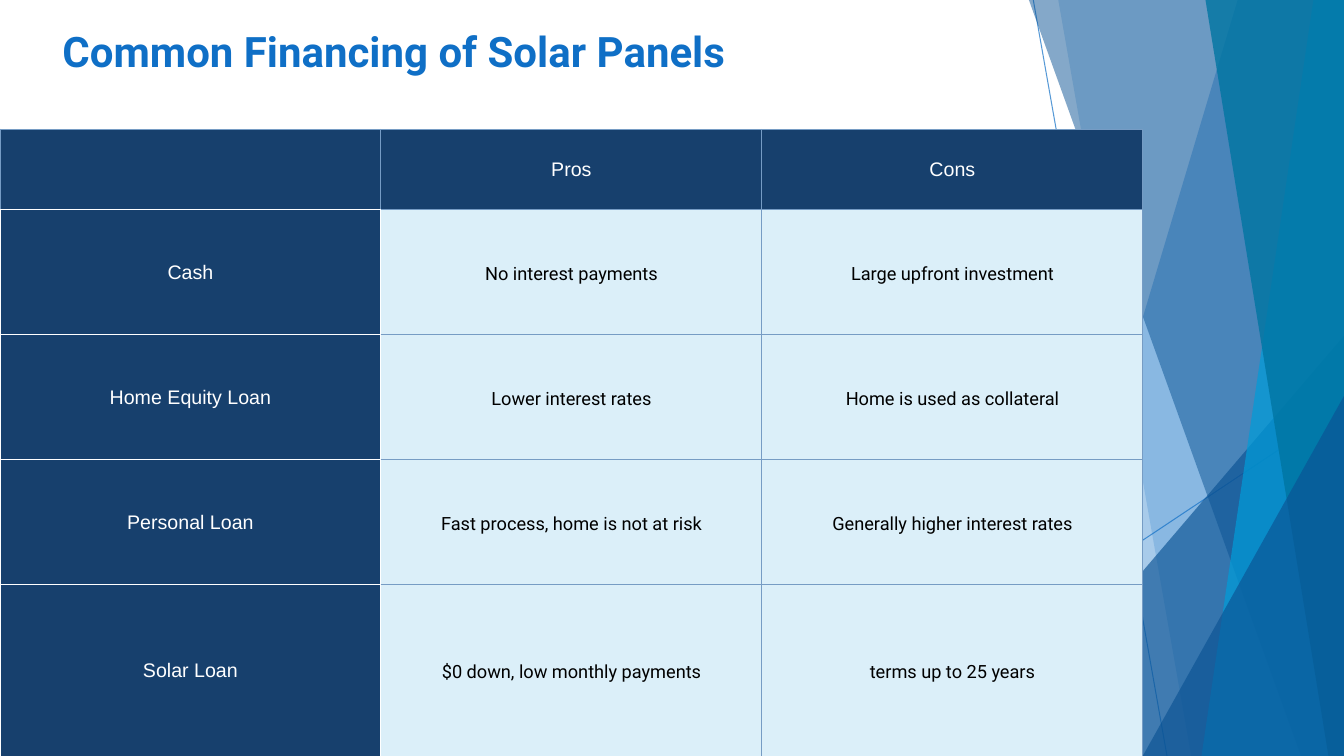
from lxml import etree
from pptx import Presentation
from pptx import util as u
from pptx.dml.color import RGBColor
from pptx.enum import shapes, text
from pptx.oxml import ns

BLUE = RGBColor(0x0F, 0x6F, 0xC6)
DEEP = RGBColor(0x0B, 0x53, 0x94)
SKY = RGBColor(0x00, 0x9D, 0xD9)
TEAL = RGBColor(0x00, 0x75, 0xA2)
NAVY = RGBColor(0x17, 0x40, 0x6D)
PALE = RGBColor(0xDB, 0xEF, 0xF9)
RULE = RGBColor(0x76, 0x9C, 0xC4)
WHITE = RGBColor(0xFF, 0xFF, 0xFF)
BLACK = RGBColor(0x00, 0x00, 0x00)

WIDTH, HEIGHT = 33.87, 19.05
COLUMN_WIDTH = 9.6
ROW_HEIGHTS = [2.03, 3.15, 3.15, 3.15, 4.32]
FINANCING = [
    ["", "Pros", "Cons"],
    ["Cash", "No interest payments", "Large upfront investment"],
    ["Home Equity Loan", "Lower interest rates", "Home is used as collateral"],
    ["Personal Loan", "Fast process, home is not at risk", "Generally higher interest rates"],
    ["Solar Loan", "$0 down, low monthly payments", "terms up to 25 years"],
]


def write(frame, words, *, size, font, color, bold=False, align=None, spacing=None):
    """Put one formatted paragraph into a text frame."""
    para = frame.paragraphs[0]
    para.alignment = align
    para.line_spacing = spacing
    span = para.add_run()
    span.text = words
    span.font.size = u.Pt(size)
    span.font.name = font
    span.font.bold = bold
    span.font.color.rgb = color


def set_alpha(fill_parent, percent):
    """Make the solid colour below an element partly transparent."""
    color = fill_parent.find(".//" + ns.qn("a:srgbClr"))
    etree.SubElement(color, ns.qn("a:alpha")).set("val", str(percent * 1000))


def set_borders(cell, colors):
    """Draw the left, right, top and bottom borders of a table cell."""
    properties = cell._tc.get_or_add_tcPr()
    for side, color in zip("LRTB", colors):
        line = etree.SubElement(properties, ns.qn(f"a:ln{side}"), w=str(u.Pt(0.75)))
        fill = etree.SubElement(line, ns.qn("a:solidFill"))
        etree.SubElement(fill, ns.qn("a:srgbClr"), val=str(color))


class SolarSlide:
    """Holds the fonts and the slide, and draws each kind of element."""

    label_style = dict(size=14, font="Arial", color=WHITE)
    body_style = dict(size=13, font="Roboto", color=BLACK, spacing=1.15)
    title_style = dict(size=30, font="Roboto", color=BLUE, bold=True, spacing=0.9)

    def __init__(self, deck):
        """Add a title-only slide."""
        self.slide = deck.slides.add_slide(deck.slide_layouts[5])

    def title(self, words, left, top, width, height):
        """Place and fill the title."""
        box = self.slide.shapes.title
        box.left, box.top = u.Cm(left), u.Cm(top)
        box.width, box.height = u.Cm(width), u.Cm(height)
        frame = box.text_frame
        frame.word_wrap = True
        frame.auto_size = text.MSO_AUTO_SIZE.NONE
        frame.vertical_anchor = text.MSO_ANCHOR.TOP
        write(frame, words, align=text.PP_ALIGN.LEFT, **self.title_style)

    def line(self, *ends):
        """Draw a thin translucent line."""
        line = self.slide.shapes.add_connector(
            shapes.MSO_CONNECTOR.STRAIGHT, *[u.Cm(end) for end in ends])
        line.line.color.rgb = BLUE
        line.line.width = u.Pt(0.75)
        properties = line._element.spPr
        set_alpha(properties, 70)
        etree.SubElement(properties, ns.qn("a:effectLst"))

    def paint(self, shape, color, alpha):
        """Give a shape a translucent fill and no line or shadow."""
        shape.shadow.inherit = False
        shape.fill.solid()
        shape.fill.fore_color.rgb = color
        shape.line.fill.background()
        set_alpha(shape._element.spPr, alpha)

    def facet(self, top_x, bottom_x, color, alpha):
        """Draw a full-height facet that reaches the right edge."""
        builder = self.slide.shapes.build_freeform(u.Cm(top_x), 0)
        corners = [(WIDTH, 0), (WIDTH, HEIGHT), (bottom_x, HEIGHT)]
        builder.add_line_segments([(u.Cm(x), u.Cm(y)) for x, y in corners])
        self.paint(builder.convert_to_shape(), color, alpha)

    def corner(self, left, top, color, alpha):
        """Draw a right triangle in the bottom right corner."""
        shape = self.slide.shapes.add_shape(
            shapes.MSO_SHAPE.ISOSCELES_TRIANGLE, u.Cm(left), u.Cm(top),
            u.Cm(WIDTH - left), u.Cm(HEIGHT - top))
        shape.adjustments[0] = 1
        self.paint(shape, color, alpha)

    def table(self, rows, top):
        """Draw the table with a dark header row and label column."""
        count = len(rows[0])
        table = self.slide.shapes.add_table(
            len(rows), count, 0, u.Cm(top),
            u.Cm(COLUMN_WIDTH * count), u.Cm(sum(ROW_HEIGHTS))).table
        table.first_row = table.horz_banding = False
        for column in table.columns:
            column.width = u.Cm(COLUMN_WIDTH)
        for r, row in enumerate(rows):
            table.rows[r].height = u.Cm(ROW_HEIGHTS[r])
            for c, words in enumerate(row):
                self.cell(table.cell(r, c), words, r == 0, c)

    def cell(self, cell, words, is_header, column):
        """Format and fill one table cell."""
        is_label = column == 0
        if is_header:
            borders = [RULE, RULE, RULE, WHITE if is_label else RULE]
        elif is_label:
            borders = [WHITE] * 4
        else:
            borders = [WHITE if column == 1 else RULE, RULE, RULE, RULE]
        set_borders(cell, borders)
        dark = is_header or is_label
        cell.fill.solid()
        cell.fill.fore_color.rgb = NAVY if dark else PALE
        cell.vertical_anchor = text.MSO_ANCHOR.MIDDLE
        cell.margin_left = cell.margin_right = u.Cm(0.25)
        cell.margin_top = cell.margin_bottom = u.Cm(0.25)
        if words:
            style = self.label_style if dark else self.body_style
            write(cell.text_frame, words, align=text.PP_ALIGN.CENTER, **style)


def main():
    """Build and save the deck."""
    deck = Presentation()
    deck.slide_width, deck.slide_height = u.Cm(WIDTH), u.Cm(HEIGHT)
    page = SolarSlide(deck)
    page.line(26.04, 0, 29.41, HEIGHT)
    page.line(WIDTH, 10.24, 20.62, HEIGHT)
    page.facet(31.19, 25.5, BLUE, 36)
    page.facet(26.67, 30.02, BLUE, 20)
    page.corner(24.82, 8.46, DEEP, 66)
    page.facet(25.93, 32.79, DEEP, 50)
    page.facet(33.1, 30.28, SKY, 70)
    page.facet(30.38, 33.48, TEAL, 80)
    page.corner(28.8, 9.98, DEEP, 66)
    page.table(FINANCING, 3.26)
    page.title("Common Financing of Solar Panels", 1.32, 0.66, 20.6, 2.08)
    deck.save("out.pptx")


if __name__ == "__main__":
    main()
